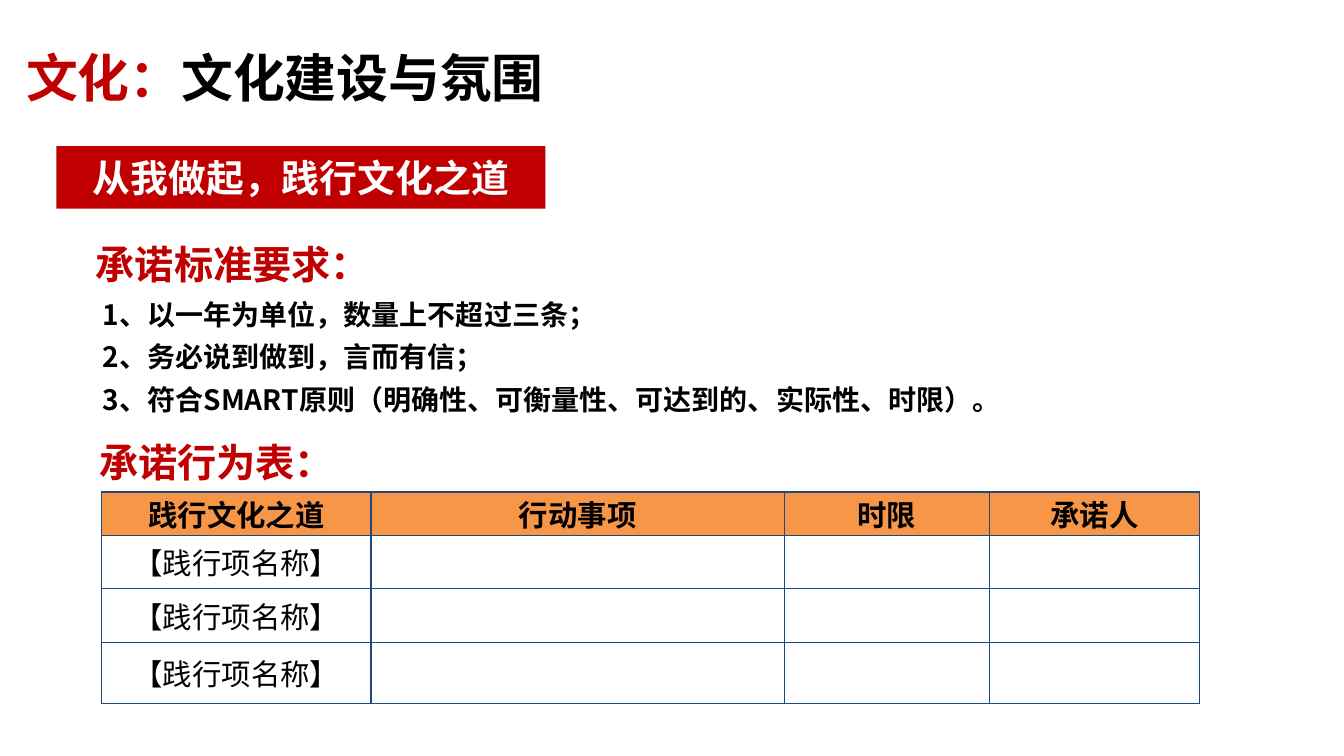
import pptx
import pptx.dml.color
import pptx.enum.shapes
import pptx.enum.text
import pptx.oxml.ns
import pptx.util
from lxml import etree

RED = pptx.dml.color.RGBColor(0xC0, 0x00, 0x00)
BLACK = pptx.dml.color.RGBColor(0x00, 0x00, 0x00)
WHITE = pptx.dml.color.RGBColor(0xFF, 0xFF, 0xFF)
ORANGE = pptx.dml.color.RGBColor(0xF7, 0x96, 0x46)
NAVY = pptx.dml.color.RGBColor(0x1F, 0x49, 0x7D)

FONT = "Noto Sans CJK SC"
SLIDE_WIDTH = pptx.util.Inches(13.33)
SLIDE_HEIGHT = pptx.util.Inches(7.5)
ALIGN = pptx.enum.text.PP_ALIGN
ANCHOR = pptx.enum.text.MSO_ANCHOR

REQUIREMENTS = [
    "1、以一年为单位，数量上不超过三条；",
    "2、务必说到做到，言而有信；",
    "3、符合SMART原则（明确性、可衡量性、可达到的、实际性、时限）。",
]
HEADERS = ["践行文化之道", "行动事项", "时限", "承诺人"]
PLEDGE_ROWS = [HEADERS] + [["【践行项名称】", "", "", ""]] * 3
COLUMN_WEIGHTS = [2.67, 4.1, 2.03, 2.09]
ROW_WEIGHTS = [0.43, 0.53, 0.53, 0.61]


def area(left, top, width, height):
    """Turn percentages of the slide into a position and size."""
    return {
        "left": int(SLIDE_WIDTH * left / 100),
        "top": int(SLIDE_HEIGHT * top / 100),
        "width": int(SLIDE_WIDTH * width / 100),
        "height": int(SLIDE_HEIGHT * height / 100),
    }


def apply(target, values):
    """Set each attribute of the target from a dict."""
    for name, value in values.items():
        setattr(target, name, value)


def write(paragraph, text, size, color, bold=True):
    """Add a run in the slide's font to a paragraph."""
    run = paragraph.add_run()
    run.text = text
    apply(run.font, {"name": FONT, "size": pptx.util.Pt(size), "bold": bold})
    run.font.color.rgb = color
    east_asian = etree.Element(pptx.oxml.ns.qn("a:ea"), typeface=FONT)
    run.font._element.find(pptx.oxml.ns.qn("a:latin")).addnext(east_asian)


def frame_text(shape, side=0.13, edge=0, anchor=ANCHOR.MIDDLE, wrap=True):
    """Set the insets, anchor and wrapping of a shape's text."""
    apply(shape.text_frame, {
        "auto_size": pptx.enum.text.MSO_AUTO_SIZE.NONE,
        "margin_left": pptx.util.Inches(side),
        "margin_right": pptx.util.Inches(side),
        "margin_top": pptx.util.Inches(edge),
        "margin_bottom": pptx.util.Inches(edge),
        "vertical_anchor": anchor,
        "word_wrap": wrap,
    })
    return shape.text_frame


def fill_title(title):
    """Place and write the two-colour slide title."""
    apply(title, area(1.2, 5.33, 69.32, 9.73))
    heading = frame_text(title, side=0.1).paragraphs[0]
    heading.alignment = ALIGN.LEFT
    write(heading, "文化：", 37, RED)
    write(heading, "文化建设与氛围", 37, BLACK)


def add_banner(slide, text):
    """Add the red slogan banner."""
    banner = slide.shapes.add_shape(
        pptx.enum.shapes.MSO_SHAPE.RECTANGLE, **area(4.2, 19.33, 36.38, 8.27))
    banner.shadow.inherit = False
    banner.fill.solid()
    banner.fill.fore_color.rgb = RED
    banner.line.fill.background()
    slogan = frame_text(banner).paragraphs[0]
    slogan.alignment = ALIGN.CENTER
    write(slogan, text, 27, WHITE)


def fill_requirements(body):
    """Write the requirement heading and its numbered lines."""
    apply(body, area(4.2, 31.47, 89.2, 24.93))
    frame = frame_text(body, edge=0.07, anchor=ANCHOR.TOP)
    lines = [("承诺标准要求：", 28, RED, 0.26)]
    lines += [(text, 20, BLACK, 0.33) for text in REQUIREMENTS]
    for index, (text, size, color, indent) in enumerate(lines):
        line = frame.add_paragraph() if index else frame.paragraphs[0]
        properties = line._p.get_or_add_pPr()
        properties.set("marL", str(pptx.util.Inches(indent)))
        properties.set("indent", "0")
        etree.SubElement(properties, pptx.oxml.ns.qn("a:buNone"))
        apply(line, {"line_spacing": pptx.util.Pt(30.6),
                     "space_before": pptx.util.Pt(0),
                     "alignment": ALIGN.LEFT})
        write(line, text, size, color)


def add_label(slide, text):
    """Add the red heading above the pledge table."""
    label = slide.shapes.add_textbox(**area(6.4, 57.07, 20.33, 8.13))
    write(frame_text(label, wrap=False).paragraphs[0], text, 28, RED)


def outline_cell(cell):
    """Draw thin navy borders around a table cell."""
    properties = cell._tc.get_or_add_tcPr()
    for side in ("lnL", "lnR", "lnT", "lnB"):
        border = etree.SubElement(properties, pptx.oxml.ns.qn(f"a:{side}"),
                                  w=str(pptx.util.Pt(1)))
        paint = etree.SubElement(border, pptx.oxml.ns.qn("a:solidFill"))
        etree.SubElement(paint, pptx.oxml.ns.qn("a:srgbClr"), val=str(NAVY))


def fill_cell(cell, text, is_header):
    """Format and write one cell of the pledge table."""
    apply(cell, {
        "margin_left": pptx.util.Inches(0.1),
        "margin_right": pptx.util.Inches(0.1),
        "margin_top": 0,
        "margin_bottom": 0,
        "vertical_anchor": ANCHOR.MIDDLE,
    })
    outline_cell(cell)
    if is_header:
        cell.fill.solid()
        cell.fill.fore_color.rgb = ORANGE
    else:
        cell.fill.background()
    if text:
        entry = cell.text_frame.paragraphs[0]
        entry.alignment = ALIGN.CENTER
        write(entry, text, 21, BLACK, bold=is_header)


def add_pledge_table(slide):
    """Add the pledge table with weighted columns and rows."""
    place = area(7.58, 65.07, 81.7, 28)
    table = slide.shapes.add_table(
        len(PLEDGE_ROWS), len(HEADERS), **place).table
    apply(table, {"first_row": False, "horz_banding": False})
    for column, weight in zip(table.columns, COLUMN_WEIGHTS):
        column.width = int(place["width"] * weight / sum(COLUMN_WEIGHTS))
    for row, weight in zip(table.rows, ROW_WEIGHTS):
        row.height = int(place["height"] * weight / sum(ROW_WEIGHTS))
    for row_index, texts in enumerate(PLEDGE_ROWS):
        for column_index, text in enumerate(texts):
            fill_cell(table.cell(row_index, column_index), text, row_index == 0)


def main():
    """Build the culture slide and save it."""
    deck = pptx.Presentation()
    apply(deck, {"slide_width": SLIDE_WIDTH, "slide_height": SLIDE_HEIGHT})
    slide = deck.slides.add_slide(deck.slide_layouts[1])
    fill_title(slide.shapes.title)
    add_banner(slide, "从我做起，践行文化之道")
    fill_requirements(slide.placeholders[1])
    add_label(slide, "承诺行为表：")
    add_pledge_table(slide)
    deck.save("out.pptx")


if __name__ == "__main__":
    main()
